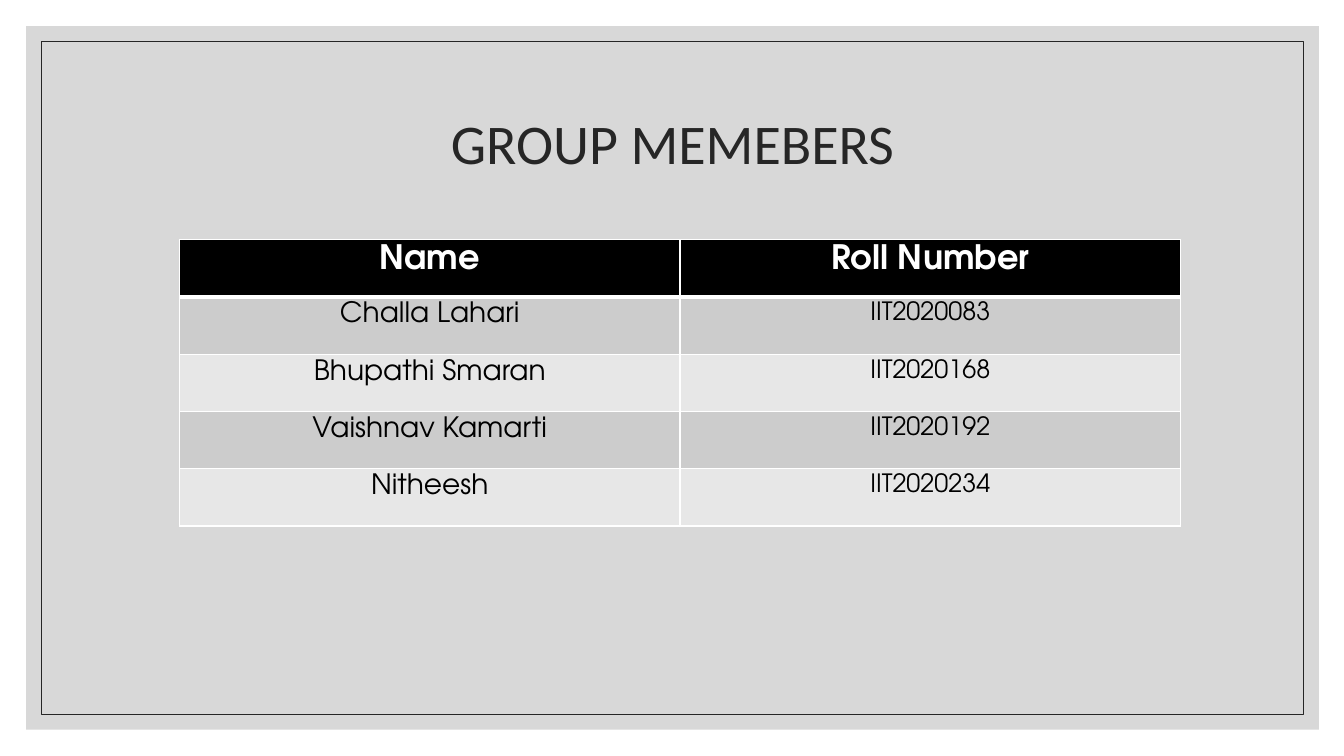
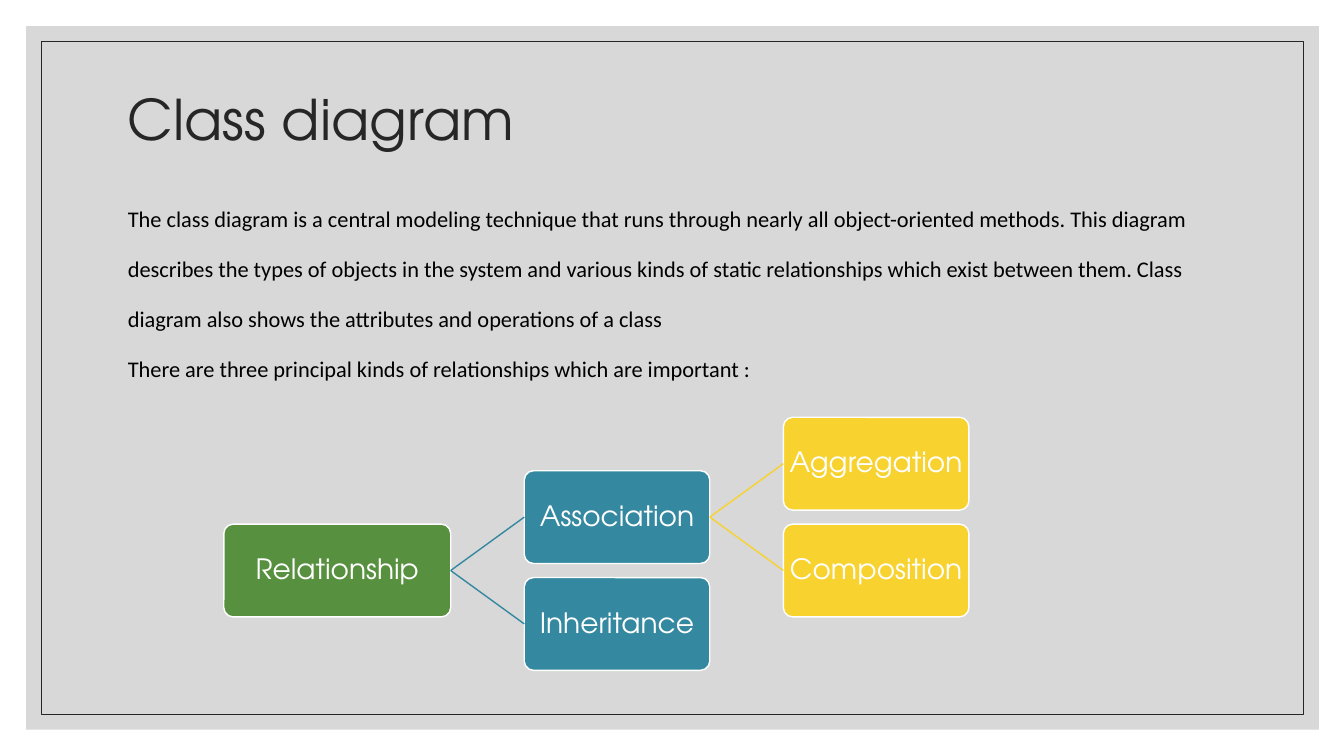
from lxml.etree import SubElement
from pptx import Presentation
from pptx.dml.color import RGBColor
from pptx.enum.shapes import MSO_CONNECTOR, MSO_SHAPE
from pptx.enum.text import MSO_ANCHOR, PP_ALIGN
from pptx.oxml.ns import qn
from pptx.util import Inches, Pt

DISPLAY, PLAIN = "TeX Gyre Adventor", "Calibri"
INK, BLACK, WHITE = "262626", "000000", "FFFFFF"
PANEL, BAND_DARK, BAND_LIGHT = "BFBFBF", "CCCCCC", "E7E7E7"
GREEN, TEAL, YELLOW = "57903F", "3488A0", "F8D22F"


def rgb(value):
    return RGBColor.from_string(value)


class Deck:
    """Holds the shared style and the current slide."""

    def __init__(self):
        self.prs = Presentation()
        self.prs.slide_width, self.prs.slide_height = Inches(13.33), Inches(7.5)
        self.s = None

    def slide(self):
        self.s = self.prs.slides.add_slide(self.prs.slide_layouts[6])
        panel = self.box(0.26, 0.26, 12.82, 6.98, fill=PANEL)
        color = panel.fill._xPr.find(qn("a:solidFill"))[0]
        SubElement(color, qn("a:alpha"), val="60000")
        self.box(0.41, 0.41, 12.52, 6.68, line=INK, weight=0.5)

    def box(self, x, y, w, h, fill=None, line=None, weight=1, shape=MSO_SHAPE.RECTANGLE):
        sp = self.s.shapes.add_shape(shape, Inches(x), Inches(y), Inches(w), Inches(h))
        sp.shadow.inherit = False
        if fill:
            sp.fill.solid()
            sp.fill.fore_color.rgb = rgb(fill)
        else:
            sp.fill.background()
        if line:
            sp.line.color.rgb = rgb(line)
            sp.line.width = Pt(weight)
        else:
            sp.line.fill.background()
        return sp

    def format(self, tf, size, font, color, align=PP_ALIGN.LEFT, spacing=None, bold=False):
        for p in tf.paragraphs:
            p.alignment = align
            p.line_spacing = spacing
            for r in p.runs:
                r.font.size, r.font.name, r.font.bold = Pt(size), font, bold
                r.font.color.rgb = rgb(color)

    def text(self, x, y, w, h, text, size, font, color, anchor=MSO_ANCHOR.TOP, **style):
        tf = self.s.shapes.add_textbox(Inches(x), Inches(y), Inches(w), Inches(h)).text_frame
        tf.word_wrap = True
        tf.vertical_anchor = anchor
        tf.text = text
        self.format(tf, size, font, color, **style)

    def title(self, text, y, h, font=DISPLAY, align=PP_ALIGN.LEFT):
        self.text(1.17, y, 11, h, text, 40, font, INK, MSO_ANCHOR.MIDDLE, align=align, spacing=0.9)

    def cell(self, cell, text, size, color, fill, bold=False, top=1, bottom=1):
        tcPr = cell._tc.get_or_add_tcPr()
        for side, weight in (("L", 1), ("R", 1), ("T", top), ("B", bottom)):
            ln = SubElement(tcPr, qn(f"a:ln{side}"), w=str(Pt(weight)))
            SubElement(SubElement(ln, qn("a:solidFill")), qn("a:srgbClr"), val=WHITE)
        cell.fill.solid()
        cell.fill.fore_color.rgb = rgb(fill)
        cell.margin_top = cell.margin_bottom = Inches(0.05)
        cell.text_frame.text = text
        self.format(cell.text_frame, size, DISPLAY, color, PP_ALIGN.CENTER, bold=bold)

    def table(self, x, y, w, h, header, rows):
        frame = self.s.shapes.add_table(len(rows) + 1, len(header), Inches(x), Inches(y), Inches(w), Inches(h))
        table = frame.table
        table.horz_banding = False
        for c, text in enumerate(header):
            self.cell(table.cell(0, c), text, 24, WHITE, BLACK, bold=True, bottom=3)
        for i, row in enumerate(rows, 1):
            fill = BAND_DARK if i % 2 else BAND_LIGHT
            for c, (text, size) in enumerate(zip(row, (20, 18))):
                self.cell(table.cell(i, c), text, size, BLACK, fill, top=3 if i == 1 else 1)

    def link(self, parent, child, color):
        cn = self.s.shapes.add_connector(MSO_CONNECTOR.STRAIGHT, 0, 0, 0, 0)
        cn.begin_connect(parent, 3)
        cn.end_connect(child, 1)
        cn.line.color.rgb = rgb(color)
        cn.line.width = Pt(1)
        SubElement(cn._element.spPr, qn("a:effectLst"))

    def tree(self, node, x, middle, colors, w=1.84, h=0.92, gap=0.73, step=1.06):
        name, children = node
        sp = self.box(x, middle - h / 2, w, h, colors[0], WHITE, shape=MSO_SHAPE.ROUNDED_RECTANGLE)
        sp.adjustments[0] = 0.1
        tf = sp.text_frame
        tf.word_wrap = False
        tf.vertical_anchor = MSO_ANCHOR.MIDDLE
        tf.margin_left = tf.margin_right = tf.margin_top = tf.margin_bottom = Inches(0.01)
        tf.text = name
        self.format(tf, 20, DISPLAY, WHITE, PP_ALIGN.CENTER, 0.9)
        for i, child in enumerate(children):
            offset = (i - (len(children) - 1) / 2) * step
            self.link(sp, self.tree(child, x + w + gap, middle + offset, colors[1:]), colors[1])
        return sp


def main():
    deck = Deck()

    deck.slide()
    deck.title("GROUP MEMEBERS", 0.7, 1.5, PLAIN, PP_ALIGN.CENTER)
    deck.table(1.78, 2.38, 9.93, 2.84, ("Name", "Roll Number"), [
        ("Challa Lahari", "IIT2020083"),
        ("Bhupathi Smaran", "IIT2020168"),
        ("Vaishnav Kamarti", "IIT2020192"),
        ("Nitheesh", "IIT2020234"),
    ])

    deck.slide()
    deck.title("Class diagram", 0.67, 1.08)
    deck.text(
        1.17, 1.76, 11, 2.2,
        "The class diagram is a central modeling technique that runs through nearly all "
        "object-oriented methods. This diagram describes the types of objects in the system "
        "and various kinds of static relationships which exist between them. Class diagram "
        "also shows the attributes and operations of a class\n"
        "There are three principal kinds of relationships which are important :",
        16, PLAIN, BLACK, spacing=1.86)
    association = ("Association", [("Aggregation", []), ("Composition", [])])
    relationship = ("Relationship", [association, ("Inheritance", [])])
    deck.tree(relationship, 2.22, 5.66, (GREEN, TEAL, YELLOW), w=2.25)

    deck.prs.save("out.pptx")


if __name__ == "__main__":
    main()
